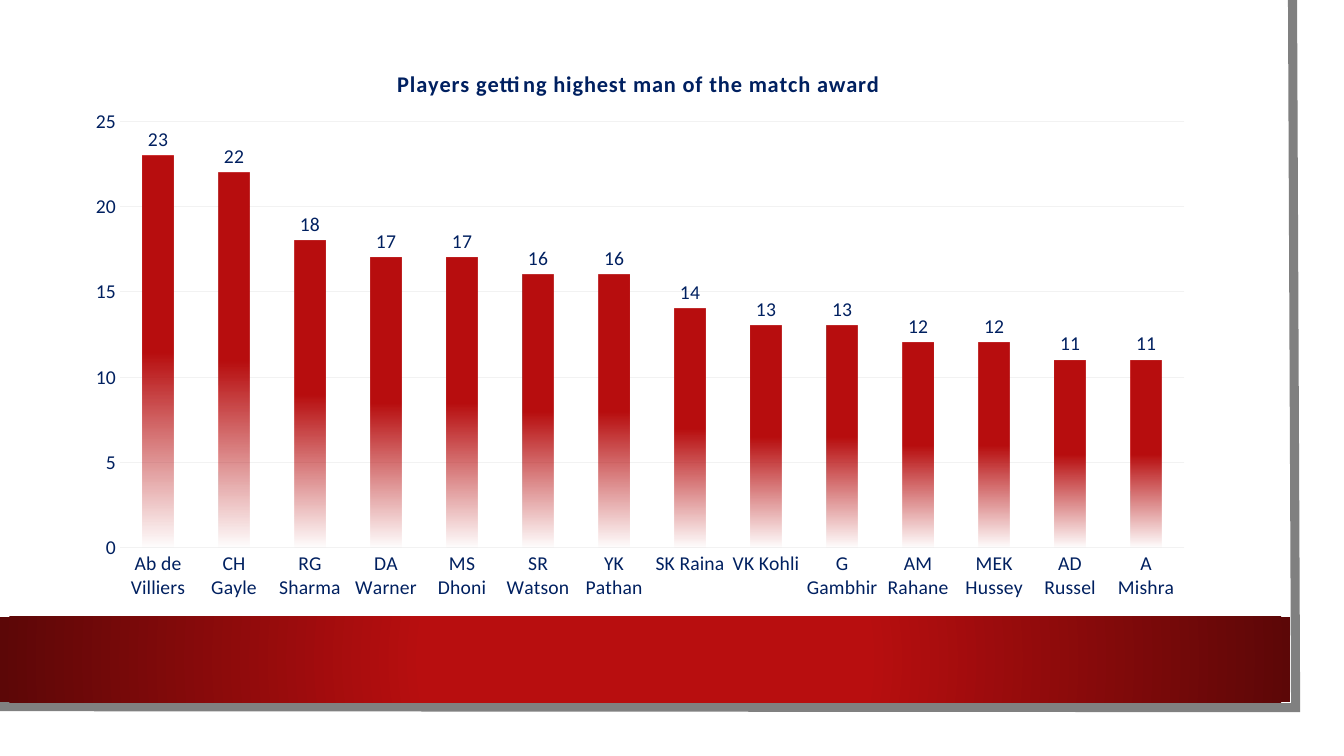
from dataclasses import dataclass
from typing import NamedTuple

from lxml.etree import SubElement
from pptx import Presentation
from pptx.chart.chart import Chart
from pptx.chart.data import CategoryChartData
from pptx.dml.color import RGBColor
from pptx.enum.chart import XL_CHART_TYPE as ChartType
from pptx.enum.chart import XL_LABEL_POSITION as LabelPosition
from pptx.enum.chart import XL_TICK_MARK as TickMark
from pptx.enum.shapes import MSO_SHAPE as Preset
from pptx.oxml import parse_xml
from pptx.oxml.ns import nsdecls, qn
from pptx.slide import Slide
from pptx.util import Inches, Pt

WIDTH, HEIGHT = Inches(13.33), Inches(7.5)


@dataclass(frozen=True)
class Theme:
    font: str = "Calibri"
    paper: str = "FFFFFF"
    navy: str = "002060"
    red: str = "B80E0F"
    maroon: str = "5C0707"
    frame: str = "808080"
    grid: str = "F2F2F2"
    title_size: int = 16
    text_size: int = 14
    frame_width: float = 6.5
    grid_width: float = 0.75


class Area(NamedTuple):
    """Left, top, width and height in percent of the container."""

    left: float
    top: float
    width: float
    height: float


class Stop(NamedTuple):
    position: int
    colour: str
    alpha: int = 100


class Player(NamedTuple):
    name: str
    awards: int


THEME = Theme()
SHEET = Area(0, 0, 98.27, 96.93)
BAND = Area(0, 81.6, 96.02, 11.33)
CHART = Area(5.48, 5.07, 84.32, 75.73)
PLOT = Area(4.1, 14.5, 93.9, 74.5)
TITLE = Area(28.2, 4.6, 0, 0)
FRAME = [(96.17, 0), (96.4, 93.6), (-0.23, 93.47)]

BAND_STOPS = [Stop(34, THEME.red), Stop(100, THEME.maroon)]
BAND_PATH = '<a:path path="circle"><a:fillToRect l="50000" t="50000" r="50000" b="50000"/></a:path>'
BAR_STOPS = [Stop(0, THEME.red), Stop(50, THEME.red), Stop(100, THEME.red, 0)]
BAR_PATH = '<a:lin ang="5400000" scaled="0"/>'

PLAYERS = [
    Player("Ab de Villiers", 23),
    Player("CH Gayle", 22),
    Player("RG Sharma", 18),
    Player("DA Warner", 17),
    Player("MS Dhoni", 17),
    Player("SR Watson", 16),
    Player("YK Pathan", 16),
    Player("SK Raina", 14),
    Player("VK Kohli", 13),
    Player("G Gambhir", 13),
    Player("AM Rahane", 12),
    Player("MEK Hussey", 12),
    Player("AD Russel", 11),
    Player("A Mishra", 11),
]


def place(x: float, y: float) -> tuple[int, int]:
    return round(WIDTH * x / 100), round(HEIGHT * y / 100)


def colour(value: str) -> RGBColor:
    return RGBColor.from_string(value)


def set_gradient(properties, stops: list[Stop], path: str) -> None:
    marks = "".join(
        f'<a:gs pos="{stop.position * 1000}"><a:srgbClr val="{stop.colour}">'
        f'<a:alpha val="{stop.alpha * 1000}"/></a:srgbClr></a:gs>'
        for stop in stops
    )
    gradient = parse_xml(f'<a:gradFill {nsdecls("a")} rotWithShape="1"><a:gsLst>{marks}</a:gsLst>{path}</a:gradFill>')
    properties.replace(properties.find(qn("a:solidFill")), gradient)


def set_font(font, *, size: float = THEME.text_size, bold: bool = False) -> None:
    font.name, font.size, font.bold = THEME.font, Pt(size), bold
    font.color.rgb = colour(THEME.navy)


def set_layout(parent, index: int, area: Area, inner: bool = False) -> None:
    for old in parent.findall(qn("c:layout")):
        parent.remove(old)
    layout = parent.makeelement(qn("c:layout"))
    manual = SubElement(layout, qn("c:manualLayout"))
    values = {"xMode": "edge", "yMode": "edge", "x": area.left / 100, "y": area.top / 100}
    if inner:
        values = {"layoutTarget": "inner", **values, "w": area.width / 100, "h": area.height / 100}
    for key, value in values.items():
        SubElement(manual, qn(f"c:{key}")).set("val", str(value))
    parent.insert(index, layout)


def add_box(page: Slide, area: Area, *, fill: str):
    box = page.shapes.add_shape(Preset.RECTANGLE, *place(*area[:2]), *place(*area[2:]))
    box.shadow.inherit = False
    box.fill.solid()
    box.fill.fore_color.rgb = colour(fill)
    box.line.fill.background()
    return box


def add_frame(page: Slide) -> None:
    start, *corners = [place(*corner) for corner in FRAME]
    builder = page.shapes.build_freeform(*start)
    builder.add_line_segments(corners, close=False)
    frame = builder.convert_to_shape()
    frame.shadow.inherit = False
    frame.fill.background()
    frame.line.color.rgb = colour(THEME.frame)
    frame.line.width = Pt(THEME.frame_width)
    SubElement(frame.element.spPr.find(qn("a:ln")), qn("a:miter")).set("lim", "800000")


def add_title(chart: Chart, text: str, *, size: float, bold: bool, spacing: int) -> None:
    chart.has_title = True
    para = chart.chart_title.text_frame.paragraphs[0]
    span = para.add_run()
    span.text = text
    set_font(span.font, size=size, bold=bold)
    span.font._element.set("spc", str(spacing))
    set_layout(chart.element.find(f".//{qn('c:title')}"), 1, TITLE)


def style_axes(chart: Chart) -> None:
    for axis in (chart.category_axis, chart.value_axis):
        axis.major_tick_mark = axis.minor_tick_mark = TickMark.NONE
        axis.format.line.fill.background()
        set_font(axis.tick_labels.font)
    scale = chart.value_axis
    scale.minimum_scale, scale.maximum_scale, scale.major_unit = 0, 25, 5
    scale.has_major_gridlines = True
    scale.major_gridlines.format.line.color.rgb = colour(THEME.grid)
    scale.major_gridlines.format.line.width = Pt(THEME.grid_width)


def add_awards_chart(page: Slide) -> None:
    data = CategoryChartData(number_format="General")
    data.categories = [player.name for player in PLAYERS]
    data.add_series("Series 1", [player.awards for player in PLAYERS])
    chart = page.shapes.add_chart(
        ChartType.COLUMN_CLUSTERED, *place(*CHART[:2]), *place(*CHART[2:]), data
    ).chart
    set_font(chart.font)
    chart.has_legend = False
    add_title(chart, "Players getting highest man of the match award",
              size=THEME.title_size, bold=True, spacing=70)
    style_axes(chart)
    plot = chart.plots[0]
    plot.gap_width, plot.vary_by_categories = 150, False
    plot.series[0].format.fill.solid()
    set_gradient(chart.element.find(f".//{qn('c:ser')}/{qn('c:spPr')}"), BAR_STOPS, BAR_PATH)
    labels = plot.series[0].data_labels
    labels.show_value, labels.position = True, LabelPosition.OUTSIDE_END
    set_font(labels.font)
    set_layout(chart.element.find(f".//{qn('c:plotArea')}"), 0, PLOT, inner=True)


def main() -> None:
    deck = Presentation()
    deck.slide_width, deck.slide_height = WIDTH, HEIGHT
    page = deck.slides.add_slide(deck.slide_layouts[6])
    add_box(page, SHEET, fill=THEME.paper)
    add_frame(page)
    band = add_box(page, BAND, fill=THEME.red)
    set_gradient(band.element.spPr, BAND_STOPS, BAND_PATH)
    add_awards_chart(page)
    deck.save("out.pptx")


if __name__ == "__main__":
    main()
